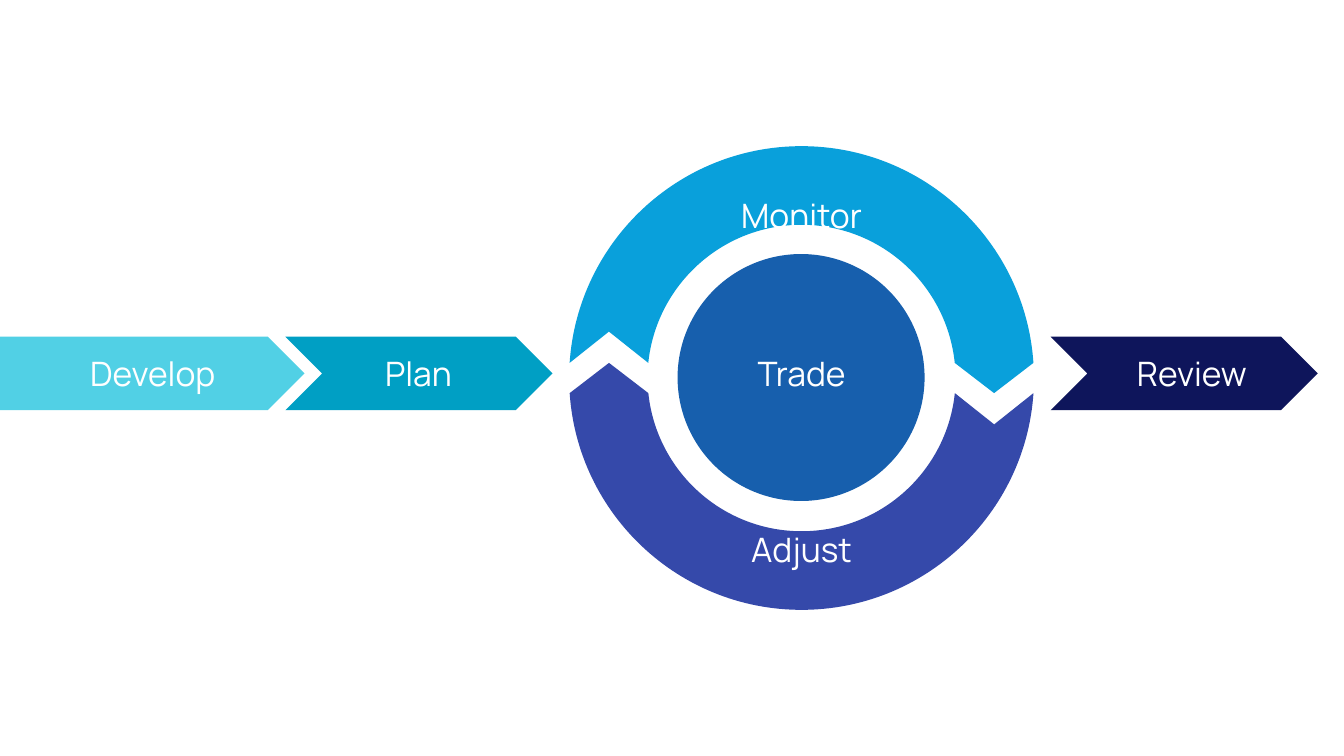
from pptx import Presentation
from pptx.dml.color import RGBColor
from pptx.enum.shapes import MSO_SHAPE
from pptx.enum.text import MSO_AUTO_SIZE, PP_ALIGN
from pptx.oxml.ns import qn
from pptx.util import Inches, Pt

PENTAGON = MSO_SHAPE.PENTAGON
CHEVRON = MSO_SHAPE.CHEVRON
OVAL = MSO_SHAPE.OVAL
CENTER = PP_ALIGN.CENTER
FIT_SHAPE = MSO_AUTO_SIZE.SHAPE_TO_FIT_TEXT

WHITE = RGBColor(0xFF, 0xFF, 0xFF)
AQUA = RGBColor(0x51, 0xD0, 0xE5)
TEAL = RGBColor(0x00, 0x9F, 0xC4)
SKY = RGBColor(0x09, 0xA0, 0xDB)
INDIGO = RGBColor(0x35, 0x49, 0xAA)
BLUE = RGBColor(0x17, 0x5F, 0xAD)
NAVY = RGBColor(0x0E, 0x15, 0x5B)

STEP_TOP, STEP_HEIGHT = 3.34, 0.73
LABEL_HEIGHT = 0.5
MIDDLE_LABEL_TOP = 3.45
RING_START = (7.95, 1.45)
RING_SEGMENTS = (
    ((9.17, 1.45), (10.17, 2.4), (10.25, 3.6)),
    ((9.86, 3.9),),
    ((9.47, 3.6),),
    ((9.39, 2.83), (8.74, 2.23), (7.95, 2.23)),
    ((7.16, 2.23), (6.51, 2.83), (6.43, 3.6)),
    ((6.04, 3.29),),
    ((5.65, 3.6),),
    ((5.73, 2.4), (6.73, 1.45), RING_START),
)


class ProcessSlide:
    """Draws the parts of a process in one shared style."""

    font = "Manrope"
    size = Pt(24)

    def __init__(self, slide):
        self.shapes = slide.shapes

    def paint(self, shape, color):
        shape.shadow.inherit = False
        shape.fill.solid()
        shape.fill.fore_color.rgb = color
        shape.line.fill.background()

    def block(self, kind, left, top, width, height, color):
        block = self.shapes.add_shape(
            kind, Inches(left), Inches(top), Inches(width), Inches(height))
        self.paint(block, color)

    def half_ring(self, top, rotation, color):
        builder = self.shapes.build_freeform(*map(Inches, RING_START))
        builder.add_line_segments(
            [(Inches(x), Inches(y)) for segment in RING_SEGMENTS for x, y in segment])
        ring = builder.convert_to_shape()
        lines = iter(list(ring.element.iter(qn("a:lnTo"))))
        for segment in RING_SEGMENTS:
            first, *others = [next(lines) for _ in segment]
            if others:
                first.tag = qn("a:cubicBezTo")
            for line in others:
                first.append(line[0])
                line.getparent().remove(line)
        ring.top = Inches(top)
        ring.rotation = rotation
        self.paint(ring, color)

    def label(self, text, left, top, width):
        label = self.shapes.add_textbox(
            Inches(left), Inches(top), Inches(width), Inches(LABEL_HEIGHT))
        frame = label.text_frame
        frame.text = text
        frame.word_wrap = False
        frame.auto_size = FIT_SHAPE
        paragraph = frame.paragraphs[0]
        paragraph.alignment = CENTER
        font = paragraph.runs[0].font
        font.name = self.font
        font.size = self.size
        font.color.rgb = WHITE


def main():
    presentation = Presentation()
    presentation.slide_width = Inches(13.33)
    presentation.slide_height = Inches(7.5)
    process = ProcessSlide(
        presentation.slides.add_slide(presentation.slide_layouts[6]))

    process.half_ring(1.45, 0, SKY)
    process.half_ring(3.6, 180, INDIGO)
    process.block(OVAL, 6.72, 2.52, 2.45, 2.45, BLUE)
    for kind, left, width, color in (
        (PENTAGON, 0, 3.02, AQUA),
        (CHEVRON, 2.83, 2.65, TEAL),
        (CHEVRON, 10.42, 2.65, NAVY),
    ):
        process.block(kind, left, STEP_TOP, width, STEP_HEIGHT, color)

    for text, left, top, width in (
        ("Develop", 0.76, MIDDLE_LABEL_TOP, 1.51),
        ("Plan", 3.71, MIDDLE_LABEL_TOP, 0.88),
        ("Review", 11.15, MIDDLE_LABEL_TOP, 1.34),
        ("Monitor", 7.25, 1.88, 1.4),
        ("Adjust", 7.25, 5.2, 1.4),
        ("Trade", 7.39, MIDDLE_LABEL_TOP, 1.12),
    ):
        process.label(text, left, top, width)

    presentation.save("out.pptx")


if __name__ == "__main__":
    main()
